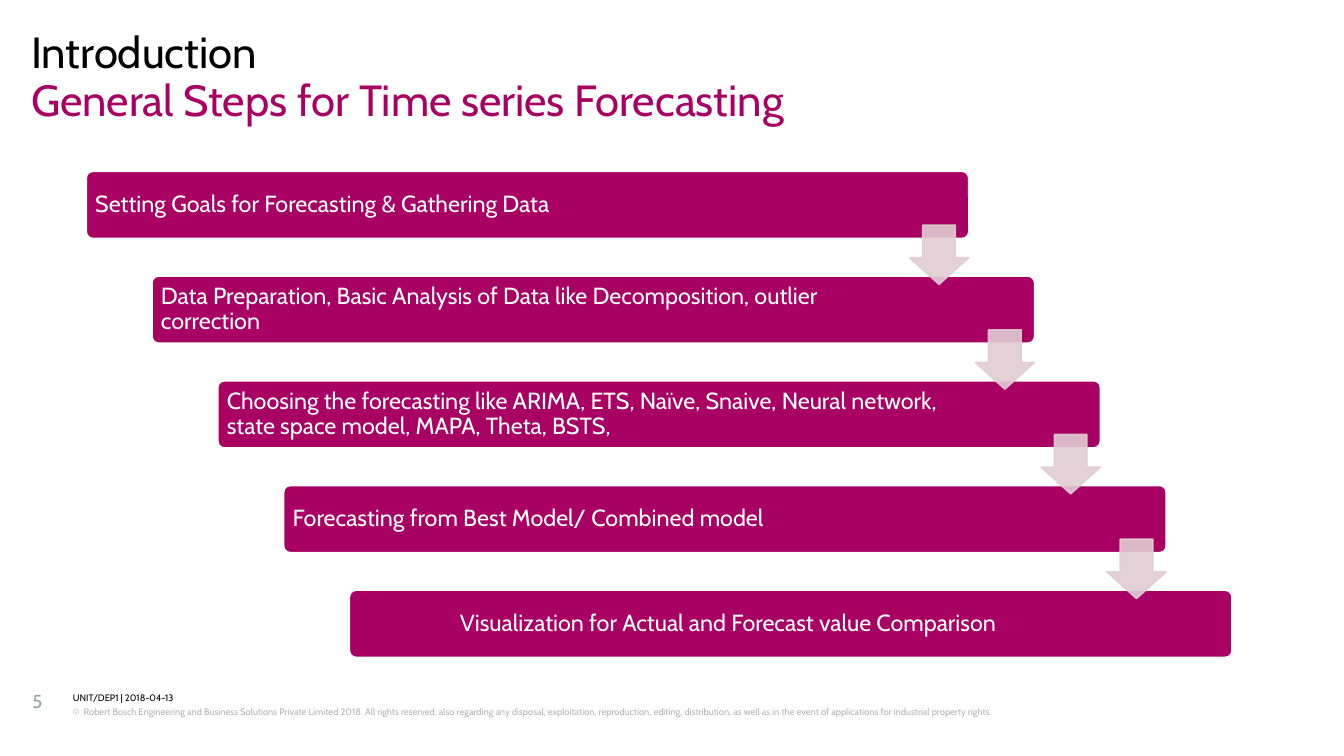
from lxml import etree
from pptx import Presentation
from pptx.dml.color import RGBColor
from pptx.enum.shapes import MSO_SHAPE
from pptx.enum.text import MSO_ANCHOR, PP_ALIGN
from pptx.oxml.ns import qn
from pptx.util import Inches, Pt

FONT = "Cabin"
BLACK = RGBColor(0x00, 0x00, 0x00)
WHITE = RGBColor(0xFF, 0xFF, 0xFF)
MAGENTA = RGBColor(0xA8, 0x01, 0x63)
PALE_PINK = RGBColor(0xE1, 0xCC, 0xD3)
LIGHT_GREY = RGBColor(0xB2, 0xB3, 0xB5)
PAGE_GREY = RGBColor(0x99, 0x9F, 0xA6)
ROUND_BAR = MSO_SHAPE.ROUNDED_RECTANGLE
DOWN_ARROW = MSO_SHAPE.DOWN_ARROW
MIDDLE = MSO_ANCHOR.MIDDLE
TOP = MSO_ANCHOR.TOP
LEFT = PP_ALIGN.LEFT
CENTER = PP_ALIGN.CENTER

STEPS = [
    ("Setting Goals for Forecasting & Gathering Data", LEFT),
    ("Data Preparation, Basic Analysis of Data like Decomposition, outlier correction", LEFT),
    ("Choosing the forecasting like ARIMA, ETS, Naïve, Snaive, Neural network, "
     "state space model, MAPA, Theta, BSTS,", LEFT),
    ("Forecasting from Best Model/ Combined model", LEFT),
    ("Visualization for Actual and Forecast value Comparison", CENTER),
]
COPYRIGHT = (
    "©  Robert Bosch Engineering and Business Solutions Private Limited 2018. "
    "All rights reserved, also regarding any disposal, exploitation, reproduction, "
    "editing, distribution, as well as in the event of applications for industrial "
    "property rights."
)


def add_text(slide, box, text, size, color, spacing=1.0, inset=0,
             anchor=TOP, alignment=LEFT, wrap=True):
    shape = slide.shapes.add_textbox(*map(Inches, box))
    frame = shape.text_frame
    frame.word_wrap = wrap
    frame.vertical_anchor = anchor
    frame.margin_left = frame.margin_right = Inches(inset)
    frame.margin_top = frame.margin_bottom = Inches(inset)
    paragraph = frame.paragraphs[0]
    paragraph.alignment = alignment
    paragraph.line_spacing = spacing
    run = paragraph.add_run()
    run.text = text
    run.font.name = FONT
    run.font.size = Pt(size)
    run.font.color.rgb = color


def add_block(slide, kind, box, adjustments, fill, line):
    shape = slide.shapes.add_shape(kind, *map(Inches, box))
    shape.shadow.inherit = False
    for index, value in enumerate(adjustments):
        shape.adjustments[index] = value
    shape.fill.solid()
    shape.fill.fore_color.rgb = fill
    shape.line.color.rgb = line
    shape.line.width = Pt(1)
    return shape


def set_opacity(shape, percent):
    for color in shape.element.spPr.iter(qn("a:srgbClr")):
        etree.SubElement(color, qn("a:alpha")).set("val", str(percent * 1000))


def add_heading(slide, left, top, width, height):
    line_height = height / 2
    lines = [("Introduction", BLACK),
             ("General Steps for Time series Forecasting", MAGENTA)]
    for index, (text, color) in enumerate(lines):
        box = (left, top + index * line_height, width, line_height)
        add_text(slide, box, text, 28, color, spacing=0.89)


def add_staircase(slide, left, top, width, height):
    bar_width, bar_height, arrow_size = 7.88, 0.6, 0.53
    step_x = (width - bar_width) / (len(STEPS) - 1)
    step_y = (height - bar_height) / (len(STEPS) - 1)
    for index, (text, alignment) in enumerate(STEPS):
        x, y = left + index * step_x, top + index * step_y
        add_block(slide, ROUND_BAR, (x, y, bar_width, bar_height), [0.1], MAGENTA, WHITE)
        add_text(slide, (x + 0.02, y + 0.02, 6.72, 0.56), text, 15, WHITE, spacing=0.9,
                 inset=0.06, anchor=MIDDLE, alignment=alignment)
    for index in range(len(STEPS) - 1):
        x = left + index * step_x + bar_width - arrow_size
        y = top + index * step_y + 0.48
        arrow = add_block(slide, DOWN_ARROW, (x, y, arrow_size, arrow_size),
                          [0.55, 0.45], PALE_PINK, PALE_PINK)
        set_opacity(arrow, 90)


def add_footer(slide, left, top, width, height):
    text_left = left + 0.36
    text_width = width - 0.36
    add_text(slide, (left, top, 0.32, height), "5", 12, PAGE_GREY, wrap=False)
    add_text(slide, (text_left, top + 0.01, text_width, 0.12),
             "UNIT/DEP1 | 2018-04-13", 6, BLACK, spacing=1.07)
    add_text(slide, (text_left, top + 0.14, text_width, 0.24),
             COPYRIGHT, 6, LIGHT_GREY, spacing=1.07)


def main():
    presentation = Presentation()
    presentation.slide_width = Inches(12)
    presentation.slide_height = Inches(6.75)
    slide = presentation.slides.add_slide(presentation.slide_layouts[6])
    add_heading(slide, 0.28, 0.28, 11.43, 0.85)
    add_staircase(slide, 0.77, 1.53, 10.23, 4.34)
    add_footer(slide, 0.29, 6.16, 10.37, 0.45)
    presentation.save("out.pptx")


if __name__ == "__main__":
    main()
